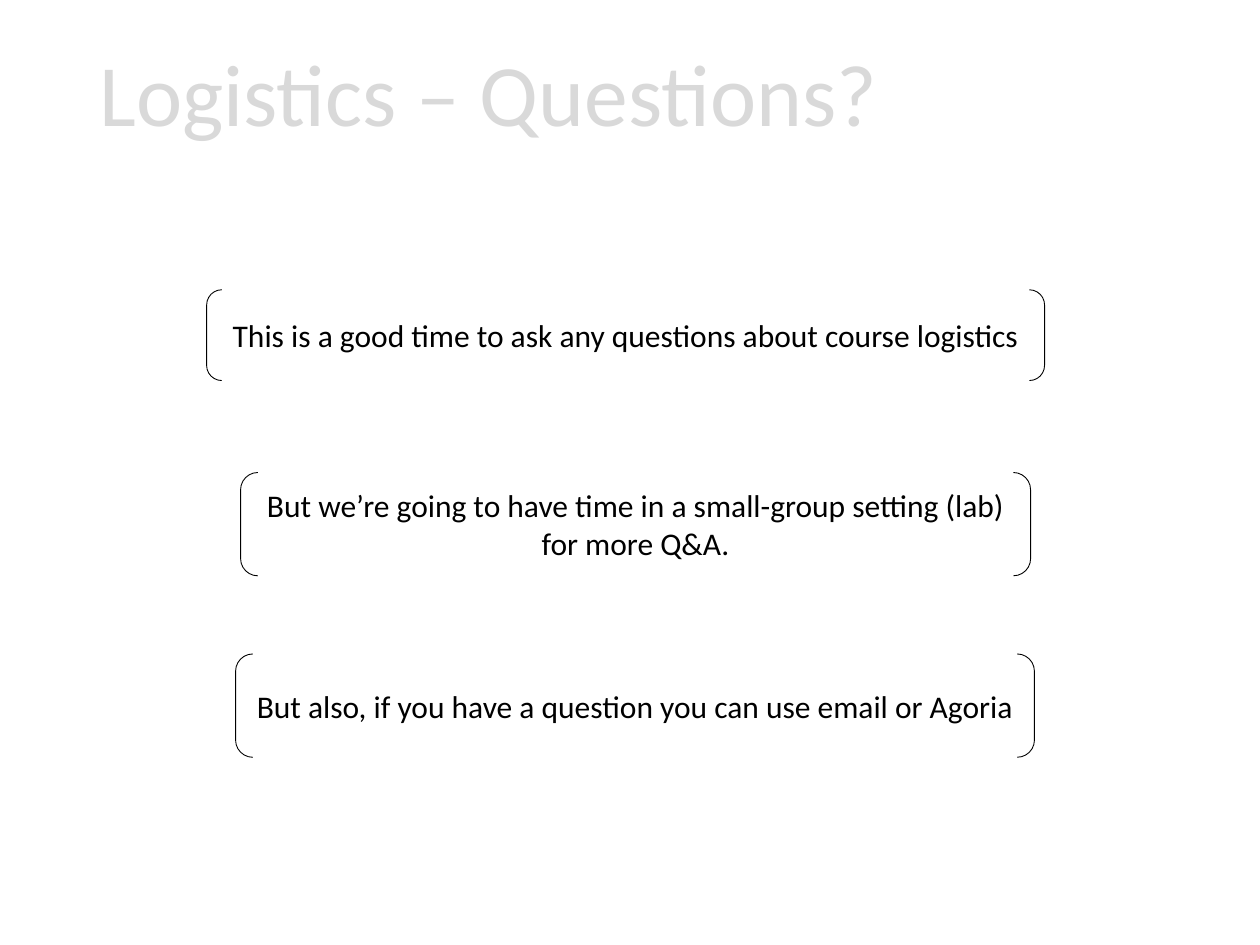
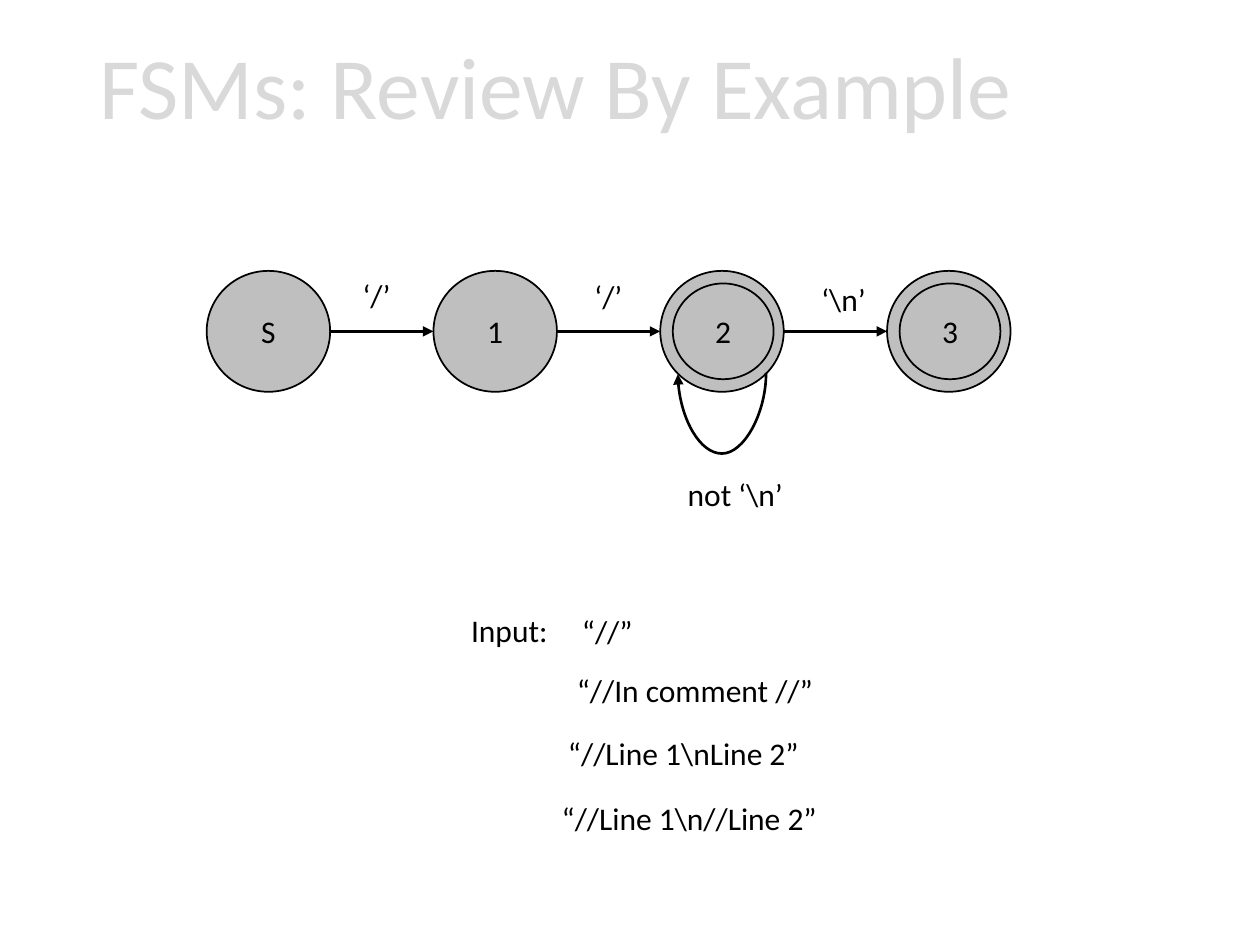
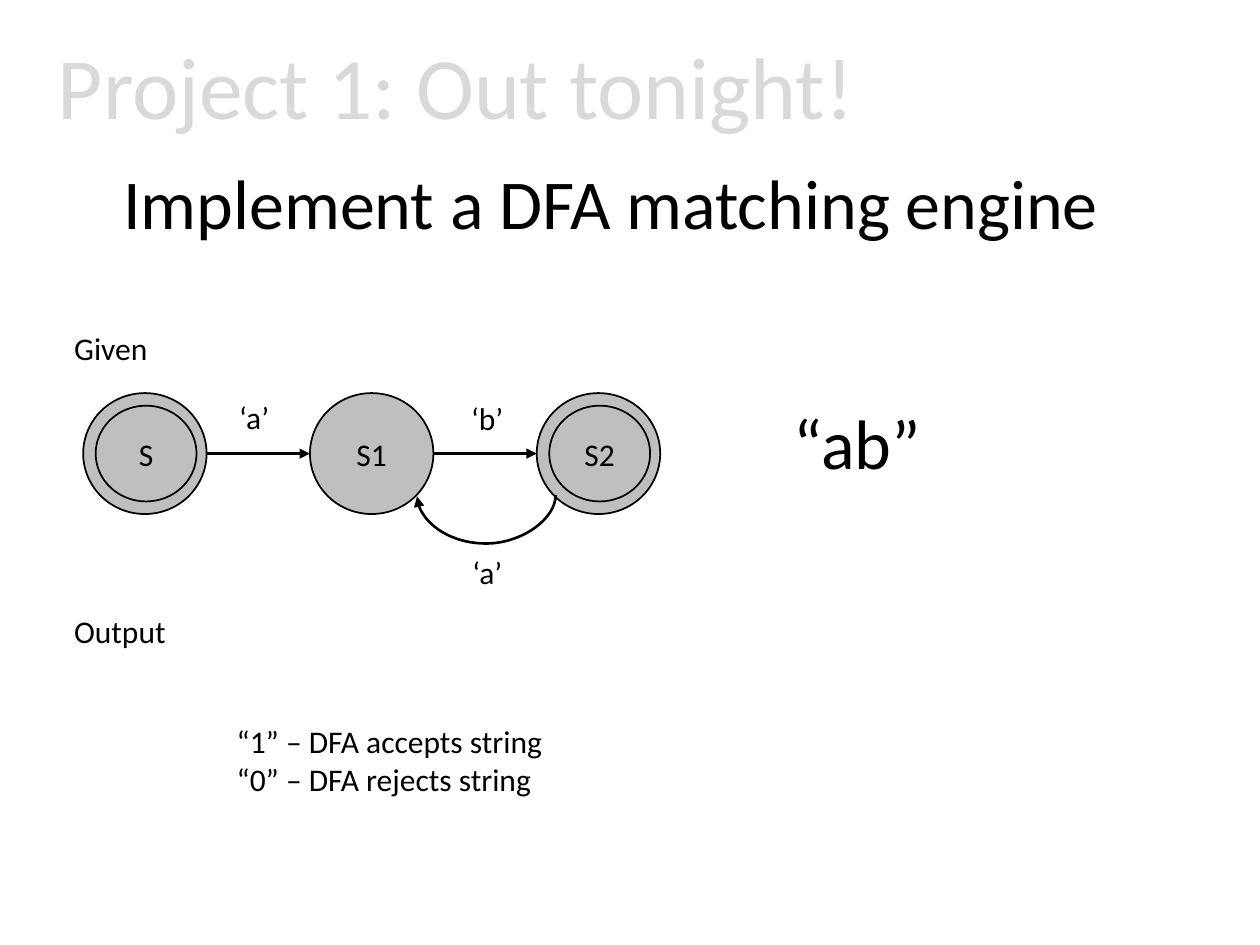
from lxml import etree
from pptx import Presentation
from pptx.dml.color import RGBColor
from pptx.enum.shapes import MSO_CONNECTOR as CXN, MSO_SHAPE as SHAPE
from pptx.enum.text import MSO_ANCHOR as ANCHOR, MSO_AUTO_SIZE as AUTO, PP_ALIGN as ALIGN
from pptx.oxml.ns import qn
from pptx.util import Inches, Pt

FONT = "Calibri"
INK, TITLE_GREY, STATE_GREY = "000000", "D9D9D9", "BFBFBF"
STATE_W, STATE_H, STATE_PITCH = 0.98, 0.96, 1.8
INNER_W, INNER_H, INNER_INSET = 0.8, 0.76, 0.1
LABEL_H = 0.4


def rgb(value):
    return RGBColor.from_string(value)


def write(tf, text, size=18, color=INK, align=ALIGN.LEFT, spacing=None):
    """Fill a text frame, one paragraph for each line of text."""
    for i, line in enumerate(text.split("\n")):
        p = tf.paragraphs[0] if i == 0 else tf.add_paragraph()
        p.alignment = align
        if spacing:
            p.line_spacing = spacing
        r = p.add_run()
        r.text = line
        r.font.name, r.font.size = FONT, Pt(size)
        r.font.color.rgb = rgb(color)


def add_slide(prs, title, x, y, w):
    """Add a slide with the shared title style."""
    s = prs.slides.add_slide(prs.slide_layouts[5])
    sp = s.shapes.title
    sp.left, sp.top, sp.width, sp.height = Inches(x), Inches(y), Inches(w), Inches(1.45)
    tf = sp.text_frame
    tf.auto_size, tf.vertical_anchor = AUTO.NONE, ANCHOR.MIDDLE
    write(tf, title, size=50, color=TITLE_GREY, spacing=0.9)
    return s


def add_label(s, text, x, y, w, h=LABEL_H, **style):
    tf = s.shapes.add_textbox(Inches(x), Inches(y), Inches(w), Inches(h)).text_frame
    tf.word_wrap, tf.auto_size = False, AUTO.SHAPE_TO_FIT_TEXT
    write(tf, text, **style)


def add_outlined(s, kind, x, y, w, h, text="", fill=None, line=1):
    sp = s.shapes.add_shape(kind, Inches(x), Inches(y), Inches(w), Inches(h))
    sp.shadow.inherit = False
    if fill:
        sp.fill.solid()
        sp.fill.fore_color.rgb = rgb(fill)
    else:
        sp.fill.background()
    sp.line.color.rgb, sp.line.width = rgb(INK), Pt(line)
    tf = sp.text_frame
    tf.vertical_anchor = ANCHOR.MIDDLE
    if text:
        write(tf, text, align=ALIGN.CENTER)


def add_arrow(s, kind, x1, y1, x2, y2):
    cxn = s.shapes.add_connector(kind, Inches(x1), Inches(y1), Inches(x2), Inches(y2))
    cxn.line.color.rgb, cxn.line.width = rgb(INK), Pt(1.5)
    spPr = cxn._element.spPr
    etree.SubElement(spPr.find(qn("a:ln")), qn("a:tailEnd"), type="triangle")
    etree.SubElement(spPr, qn("a:effectLst"))
    return cxn


def add_loop(s, x, y, span, depth):
    """Curve from (x, y) down by depth and back up, ending span to the left."""
    drop = 0.01
    left, top = x - span / 2 - drop / 2, y + drop / 2 - span / 2
    spPr = add_arrow(s, CXN.CURVE, left, top, left + drop, top + span)._element.spPr
    spPr.find(qn("a:xfrm")).set("rot", str(90 * 60000))
    geom = spPr.find(qn("a:prstGeom"))
    geom.set("prst", "curvedConnector3")
    guides = geom.find(qn("a:avLst"))
    if guides is None:
        guides = etree.SubElement(geom, qn("a:avLst"))
    etree.SubElement(guides, qn("a:gd"), name="adj1",
                     fmla=f"val {round(depth / drop * 100000)}")


def add_state(s, x, y, name, accepting):
    add_outlined(s, SHAPE.OVAL, x, y, STATE_W, STATE_H, "" if accepting else name, STATE_GREY)
    if accepting:
        add_outlined(s, SHAPE.OVAL, x + INNER_INSET, y + INNER_INSET,
                     INNER_W, INNER_H, name, STATE_GREY)


def add_machine(s, x, y, states, steps, loop, loop_label):
    """Draw a row of states; steps, loop and loop label are relative to (x, y)."""
    for i, (name, accepting) in enumerate(states):
        add_state(s, x + i * STATE_PITCH, y, name, accepting)
    mid = y + STATE_H / 2
    for i, (text, dx, dy, w) in enumerate(steps):
        state_x = x + i * STATE_PITCH
        add_arrow(s, CXN.STRAIGHT, state_x + STATE_W, mid, state_x + STATE_PITCH, mid)
        add_label(s, text, state_x + dx, y + dy, w)
    dx, dy, span, depth = loop
    add_loop(s, x + dx, y + dy, span, depth)
    text, dx, dy, w = loop_label
    add_label(s, text, x + dx, y + dy, w)


def logistics_slide(prs):
    s = add_slide(prs, "Logistics – Questions?", 0.69, 0.05, 8.62)
    for text, x, y, w, h in [
        ("This is a good time to ask any questions about course logistics", 1.64, 2.3, 6.65, 0.72),
        ("But we’re going to have time in a small-group setting (lab) for more Q&A.",
         1.91, 3.75, 6.27, 0.82),
        ("But also, if you have a question you can use email or Agoria", 1.87, 5.19, 6.34, 0.82),
    ]:
        add_outlined(s, SHAPE.DOUBLE_BRACKET, x, y, w, h, text, line=0.5)


def review_slide(prs):
    s = add_slide(prs, "FSMs: Review By Example", 0.69, 0, 8.62)
    add_machine(s, 1.64, 2.15,
                states=[("S", False), ("1", False), ("2", True), ("3", True)],
                steps=[("‘/’", 1.14, -0.01, 0.43), ("‘/’", 1.18, 0, 0.43),
                       ("‘\\n’", 1.18, 0.02, 0.56)],
                loop=(4.44, 0.81, 0.7, 0.65),
                loop_label=("not ‘\\n’", 3.72, 1.57, 0.97))
    add_label(s, "Input:", 3.64, 4.8, 0.88)
    for text, x, y, w in [
        ("“//”", 4.52, 4.81, 0.61),
        ("“//In comment //”", 4.48, 5.28, 2.1),
        ("“//Line 1\\nLine 2”", 4.41, 5.78, 2.06),
        ("“//Line 1\\n//Line 2”", 4.36, 6.29, 2.26),
    ]:
        add_label(s, text, x, y, w)


def project_slide(prs):
    s = add_slide(prs, "Project 1: Out tonight!", 0.36, 0, 9.29)
    add_machine(s, 0.66, 3.12,
                states=[("S", True), ("S1", False), ("S2", True)],
                steps=[("‘a’", 1.14, -0.01, 0.44), ("‘b’", 1.18, 0, 0.46)],
                loop=(3.75, 0.81, 1.1, 0.39),
                loop_label=("‘a’", 2.99, 1.22, 0.44))
    add_label(s, "Implement a DFA matching engine", 0.88, 1.22, 8.02, 0.77, size=40)
    add_label(s, "“ab”", 6.2, 3.12, 1.21, 0.77, size=40)
    add_label(s, "Given", 0.49, 2.56, 0.79)
    add_label(s, "Output", 0.49, 4.81, 0.94)
    add_label(s, "“1” – DFA accepts string\n“0” – DFA rejects string", 1.78, 5.68, 2.65, 0.71)


def main():
    prs = Presentation()
    prs.slide_width, prs.slide_height = Inches(10), Inches(7.5)
    logistics_slide(prs)
    review_slide(prs)
    project_slide(prs)
    prs.save("out.pptx")


if __name__ == "__main__":
    main()
